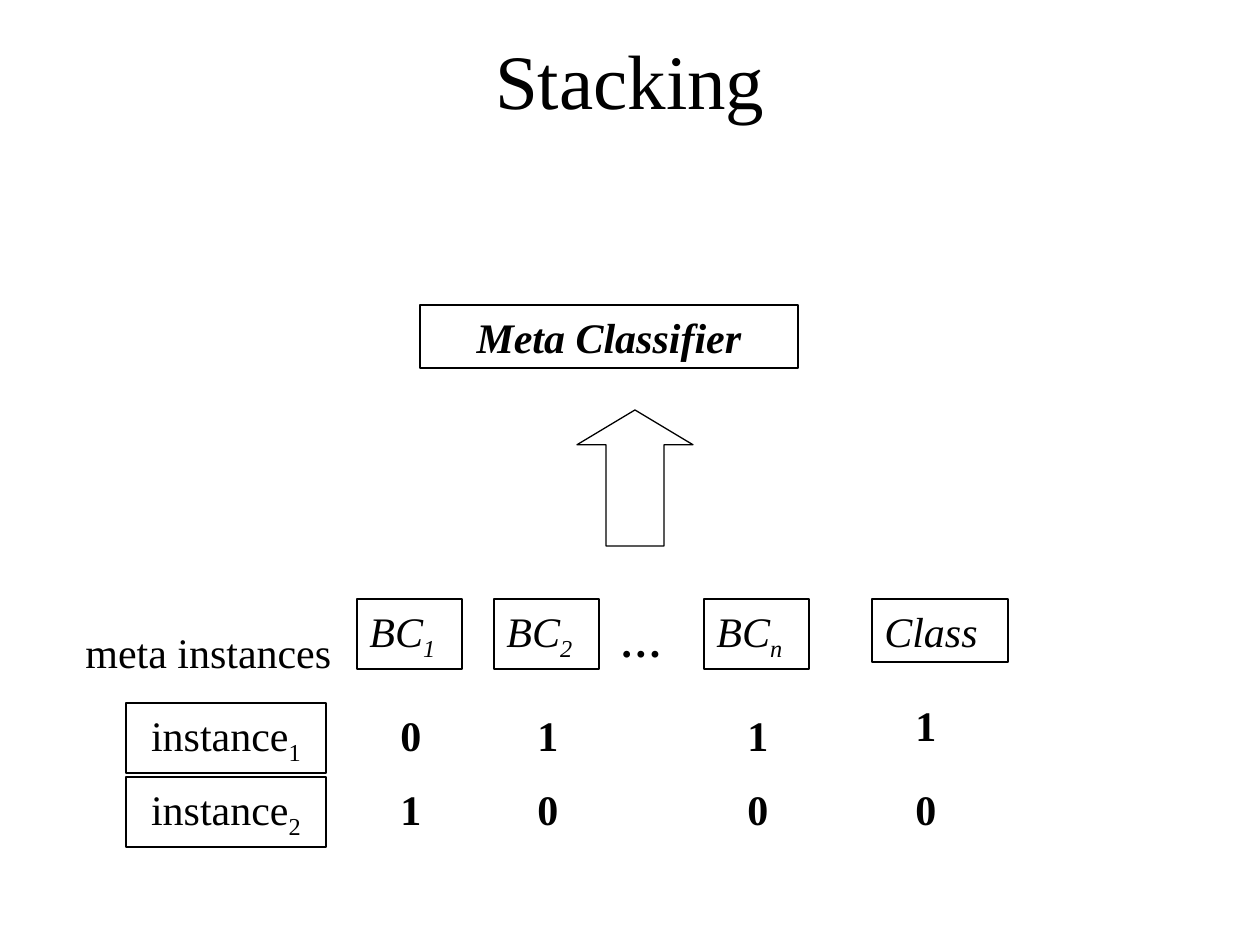
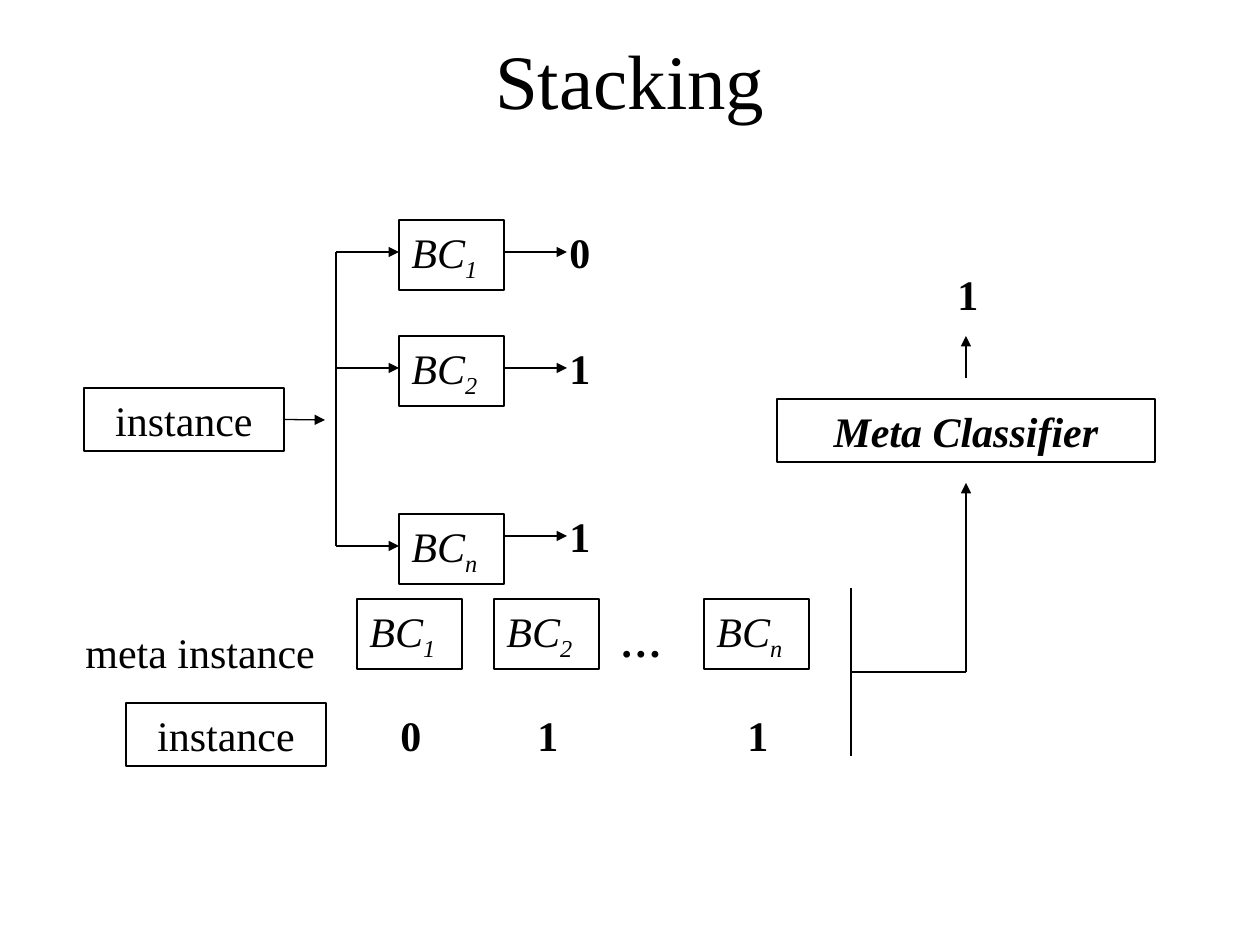
"""Build two slides on stacking: training the meta classifier and using it."""
from lxml import etree
from pptx import Presentation
from pptx import util as u
from pptx.dml.color import RGBColor
from pptx.enum import shapes, text
from pptx.oxml.ns import qn

FONT, INK = "Times New Roman", "000000"
TITLE = "Stacking"
META = "Meta Classifier"
BASES = ["BC_1", "BC_2", "BC_n"]
COLUMNS = [357, 494, 704]
CLASS_X, HEAD_Y, VALUE_SHIFT = 872, 599, 31
INSTANCES = [
    {"label": "instance_1", "y": 703, "votes": "011", "class": "1", "class_y": 693},
    {"label": "instance_2", "y": 777, "votes": "100", "class": "0", "class_y": 777},
]
NEW_VOTES = "011"
FLOW = [
    {"box": 220, "arrow_in": 252, "arrow_out": 252, "vote": 220},
    {"box": 336, "arrow_in": 368, "arrow_out": 368, "vote": 336},
    {"box": 514, "arrow_in": 546, "arrow_out": 536, "vote": 504},
]


def px(n):
    return u.Emu(round(n * 914400 / 126))


def color(h):
    return RGBColor.from_string(h)


def write(sp, label, size=24, bold=False, italic=False, center=False, wrap=True):
    tf = sp.text_frame
    tf.word_wrap = wrap
    tf.vertical_anchor = text.MSO_ANCHOR.TOP
    tf.auto_size = text.MSO_AUTO_SIZE.SHAPE_TO_FIT_TEXT
    p = tf.paragraphs[0]
    p.alignment = text.PP_ALIGN.CENTER if center else text.PP_ALIGN.LEFT
    for i, part in enumerate(label.split("_")):
        r = p.add_run()
        r.text = part
        r.font.name, r.font.size = FONT, u.Pt(size)
        r.font.bold, r.font.italic = bold, italic
        r.font.color.rgb = color(INK)
        if i:
            r._r.get_or_add_rPr().set("baseline", "-25000")
    return sp


def add_text(s, label, x, y, w, h=63, **style):
    return write(s.shapes.add_textbox(px(x), px(y), px(w), px(h)), label, **style)


def add_outline(s, kind, x, y, w, h):
    sp = s.shapes.add_shape(kind, px(x), px(y), px(w), px(h))
    sp.shadow.inherit = False
    sp.fill.background()
    sp.line.color.rgb = color(INK)
    sp.line.width = u.Pt(0.75)
    return sp


def add_box(s, label, x, y, w, **style):
    h = 70 if "_" in label else 63
    return write(add_outline(s, shapes.MSO_SHAPE.RECTANGLE, x, y, w, h), label, **style)


def add_base(s, label, x, y):
    add_box(s, label, x, y, 105, italic=True)


def add_value(s, digit, x, y):
    add_text(s, digit, x, y, 45, bold=True, wrap=False)


def add_instance(s, label, x, y):
    return add_box(s, label, x, y, 200, center=True)


def add_meta(s, x, y):
    add_box(s, META, x, y, 378, bold=True, italic=True, center=True)


def add_line(s, x1, y1, x2, y2, arrow=False):
    c = s.shapes.add_connector(shapes.MSO_CONNECTOR.STRAIGHT, px(x1), px(y1), px(x2), px(y2))
    c.line.color.rgb = color(INK)
    c.line.width = u.Pt(0.75)
    if arrow:
        etree.SubElement(c.line._get_or_add_ln(), qn("a:tailEnd"), type="triangle")
    etree.SubElement(c._element.spPr, qn("a:effectLst"))
    return c


def add_slide(prs, caption):
    s = prs.slides.add_slide(prs.slide_layouts[6])
    tf = add_text(s, TITLE, 63, 0, 1134, 158, size=44, center=True).text_frame
    tf.auto_size = text.MSO_AUTO_SIZE.NONE
    tf.vertical_anchor = text.MSO_ANCHOR.MIDDLE
    add_text(s, caption, 73, 620, 378)
    for label, x in zip(BASES, COLUMNS):
        add_base(s, label, x, HEAD_Y)
    add_text(s, "…", 609, 609, 73, bold=True, italic=True)
    return s


def add_row(s, label, y, votes):
    add_instance(s, label, 126, y)
    for vote, x in zip(votes, COLUMNS):
        add_value(s, vote, x + VALUE_SHIFT, y)


def build_training(prs):
    s = add_slide(prs, "meta instances")
    add_box(s, "Class", CLASS_X, HEAD_Y, 136, italic=True)
    for row in INSTANCES:
        add_row(s, row["label"], row["y"], row["votes"])
        add_value(s, row["class"], CLASS_X + VALUE_SHIFT, row["class_y"])
    add_meta(s, 420, 305)
    up = add_outline(s, shapes.MSO_SHAPE.UP_ARROW, 577, 410, 116, 136)
    up.adjustments[0], up.adjustments[1] = 0.5, 0.3


def build_prediction(prs):
    s = add_slide(prs, "meta instance")
    add_row(s, "instance", 703, NEW_VOTES)

    source = add_instance(s, "instance", 84, 388)
    add_line(s, 284, 420, 325, 420, arrow=True).begin_connect(source, 3)
    trunk = 336
    add_line(s, trunk, FLOW[0]["arrow_in"], trunk, FLOW[-1]["arrow_in"])
    for label, vote, y in zip(BASES, NEW_VOTES, FLOW):
        add_base(s, label, 399, y["box"])
        add_line(s, trunk, y["arrow_in"], 399, y["arrow_in"], arrow=True)
        add_line(s, 504, y["arrow_out"], 567, y["arrow_out"], arrow=True)
        add_text(s, vote, 557, y["vote"], 63, bold=True)

    bracket, meta_mid, join_y = 851, 966, 672
    add_line(s, bracket, 588, bracket, 756)
    add_line(s, bracket, join_y, meta_mid, join_y)
    add_line(s, meta_mid, join_y, meta_mid, 483, arrow=True)
    add_meta(s, meta_mid - 189, 399)
    add_line(s, meta_mid, 378, meta_mid, 336, arrow=True)
    add_value(s, "1", 945, 262)


def main():
    prs = Presentation()
    prs.slide_width, prs.slide_height = px(1260), px(945)
    build_training(prs)
    build_prediction(prs)
    prs.save("out.pptx")


if __name__ == "__main__":
    main()
